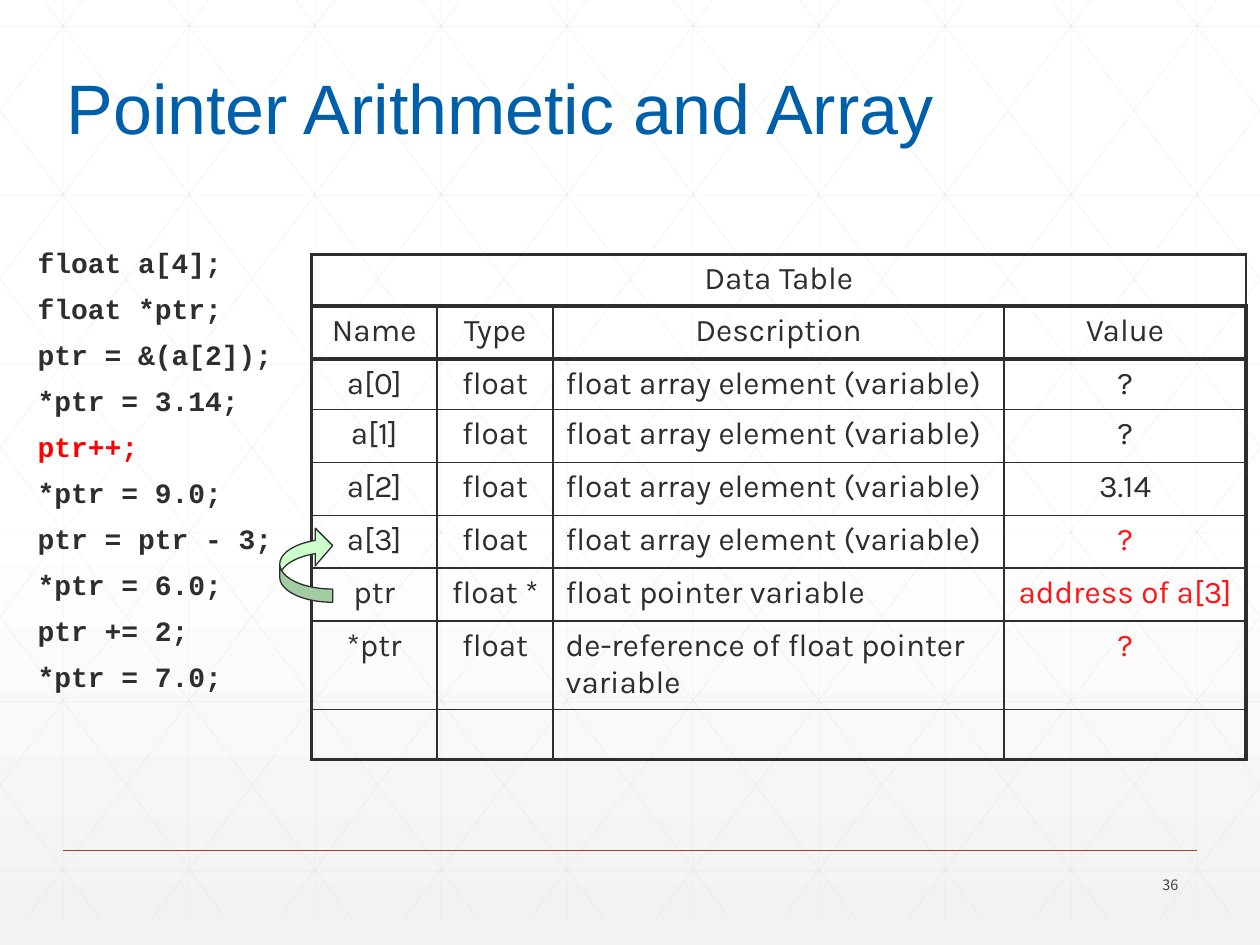
from dataclasses import dataclass

from lxml.etree import SubElement
from pptx import Presentation
from pptx.dml.color import RGBColor
from pptx.enum.shapes import MSO_CONNECTOR, MSO_SHAPE
from pptx.enum.text import MSO_ANCHOR, PP_ALIGN
from pptx.oxml.ns import qn
from pptx.util import Inches, Pt


@dataclass(frozen=True)
class Theme:
    ink: str = "2D2E2D"
    title: str = "005FA9"
    code_accent: str = "FF0000"
    value_accent: str = "FF1717"
    grid: str = "D9D9D9"
    rule: str = "A43F27"
    page_number: str = "424342"
    arrow: str = "CCFFCC"
    title_size: float = 40
    table_size: float = 18
    code_size: float = 16
    number_size: float = 8.2


theme = Theme()


def add_line(x1, y1, x2, y2, color, width, opacity=100):
    line = page.shapes.add_connector(
        MSO_CONNECTOR.STRAIGHT, Inches(x1), Inches(y1), Inches(x2), Inches(y2))
    line.line.color.rgb = RGBColor.from_string(color)
    line.line.width = Pt(width)
    if opacity < 100:
        tint = line.line._ln.find(".//" + qn("a:srgbClr"))
        SubElement(tint, qn("a:alpha"), val=str(opacity * 1000))
    SubElement(line._element.spPr, qn("a:effectLst"))


def style_font(font, name, size, color, bold=False):
    font.name = name
    font.size = Pt(size)
    font.bold = bold
    font.color.rgb = RGBColor.from_string(color)


deck = Presentation()
deck.slide_width, deck.slide_height = Inches(10), Inches(7.5)
page = deck.slides.add_slide(deck.slide_layouts[6])

# Background gradient, white fading to grey at the bottom
backdrop = page.background.fill
backdrop.gradient()
backdrop.gradient_angle = 270
for stop, position, color in zip(backdrop.gradient_stops, (0.53, 1), ("FFFFFF", "F2F2F2")):
    stop.position = position
    stop.color.rgb = RGBColor.from_string(color)

# Faint grid: verticals, horizontals and mirrored diagonals clipped to the sides
top, bottom, run = -0.21, 7.29, 5.6
slope = (bottom - top) / run
grid_lines = [(0.5 + i, top, 0.5 + i, bottom) for i in range(10)]
grid_lines += [(0, 0.21 + 1.34 * i, 10, 0.21 + 1.34 * i) for i in range(6)]
for i in range(-5, 10):
    start = 0.19 + i
    left, right = max(start, 0), min(start + run, 10)
    y_left, y_right = top + (left - start) * slope, top + (right - start) * slope
    grid_lines.append((left, y_left, right, y_right))
    grid_lines.append((10 - left, y_left, 10 - right, y_right))
for ends in grid_lines:
    add_line(*ends, theme.grid, 0.5, opacity=25)

# Footer rule and page number
add_line(0.5, 6.75, 9.5, 6.75, theme.rule, 1)
number_box = page.shapes.add_textbox(Inches(8.7), Inches(6.9), Inches(0.75), Inches(0.24))
number_box.text_frame.vertical_anchor = MSO_ANCHOR.MIDDLE
para = number_box.text_frame.paragraphs[0]
para.text = "36"
para.alignment = PP_ALIGN.RIGHT
style_font(para.runs[0].font, "Noto Sans CJK TC", theme.number_size, theme.page_number)

# Title
title_box = page.shapes.add_textbox(Inches(0.43), Inches(0.46), Inches(7.16), Inches(0.77))
para = title_box.text_frame.paragraphs[0]
para.text = "Pointer Arithmetic and Array"
style_font(para.runs[0].font, "Arial", theme.title_size, theme.title)

# Code listing
code = """float a[4];
float *ptr;
ptr = &(a[2]);
*ptr = 3.14;
ptr++;
*ptr = 9.0;
ptr = ptr - 3;
*ptr = 6.0;
ptr += 2;
*ptr = 7.0;"""
code_box = page.shapes.add_textbox(Inches(0.2), Inches(1.93), Inches(2.25), Inches(4.5))
code_box.text_frame.word_wrap = True
code_box.text_frame.text = code
for index, para in enumerate(code_box.text_frame.paragraphs):
    para.line_spacing = 0.9
    para.space_before = Pt(9 if index else 0)
    color = theme.code_accent if para.text == "ptr++;" else theme.ink
    style_font(para.runs[0].font, "Courier New", theme.code_size, color, bold=True)

# Data table
element = "float array element (variable)"
rows = [
    ("Data Table", "", "", ""),
    ("Name", "Type", "Description", "Value"),
    ("a[0]", "float", element, "?"),
    ("a[1]", "float", element, "?"),
    ("a[2]", "float", element, "3.14"),
    ("a[3]", "float", element, "?"),
    ("ptr", "float *", "float pointer variable", "address of a[3]"),
    ("*ptr", "float", "de-reference of float pointer variable", "?"),
    ("", "", "", ""),
]
column_widths = (1, 0.92, 3.58, 1.92)
row_heights = (0.41, 0.42, 0.4, 0.42, 0.42, 0.42, 0.42, 0.7, 0.4)
first_changed_row = 5
last_row, last_column = len(rows) - 1, len(column_widths) - 1

frame = page.shapes.add_table(len(rows), len(column_widths), Inches(2.47), Inches(2.02),
                              Inches(sum(column_widths)), Inches(sum(row_heights)))
table = frame.table
table.first_row = table.horz_banding = False
for column, width in zip(table.columns, column_widths):
    column.width = Inches(width)
for row, height in zip(table.rows, row_heights):
    row.height = Inches(height)
table.cell(0, 0).merge(table.cell(0, last_column))

for r, texts in enumerate(rows):
    for c, text in enumerate(texts):
        cell = table.cell(r, c)
        para = cell.text_frame.paragraphs[0]
        para.text = text
        para.alignment = PP_ALIGN.LEFT if c == 2 and r > 1 else PP_ALIGN.CENTER
        changed = c == last_column and r >= first_changed_row
        color = theme.value_accent if changed else theme.ink
        for font in [para.font] + [span.font for span in para.runs]:
            style_font(font, "Karla", theme.table_size, color)

        # Heavy outer frame and header rules, thin lines elsewhere
        heavy_sides = {
            "lnL": c == 0,
            "lnR": c == last_column,
            "lnT": r <= 2,
            "lnB": r <= 1 or r == last_row,
        }
        properties = cell._tc.get_or_add_tcPr()
        for side, heavy in heavy_sides.items():
            border = SubElement(properties, qn("a:" + side), w=str(Pt(2.25 if heavy else 1)))
            SubElement(SubElement(border, qn("a:solidFill")), qn("a:srgbClr"), val=theme.ink)
        cell.fill.background()

# Curved arrow from ptr up to a[3]
arrow = page.shapes.add_shape(MSO_SHAPE.CURVED_LEFT_ARROW, Inches(2.22), Inches(4.18),
                              Inches(0.42), Inches(0.6))
arrow.rotation = 180
for index, value in enumerate((0.25, 0.77, 0.33)):
    arrow.adjustments[index] = value
arrow.shadow.inherit = False
arrow.fill.solid()
arrow.fill.fore_color.rgb = RGBColor.from_string(theme.arrow)
arrow.line.color.rgb = RGBColor.from_string(theme.ink)
arrow.line.width = Pt(0.75)

deck.save("out.pptx")
